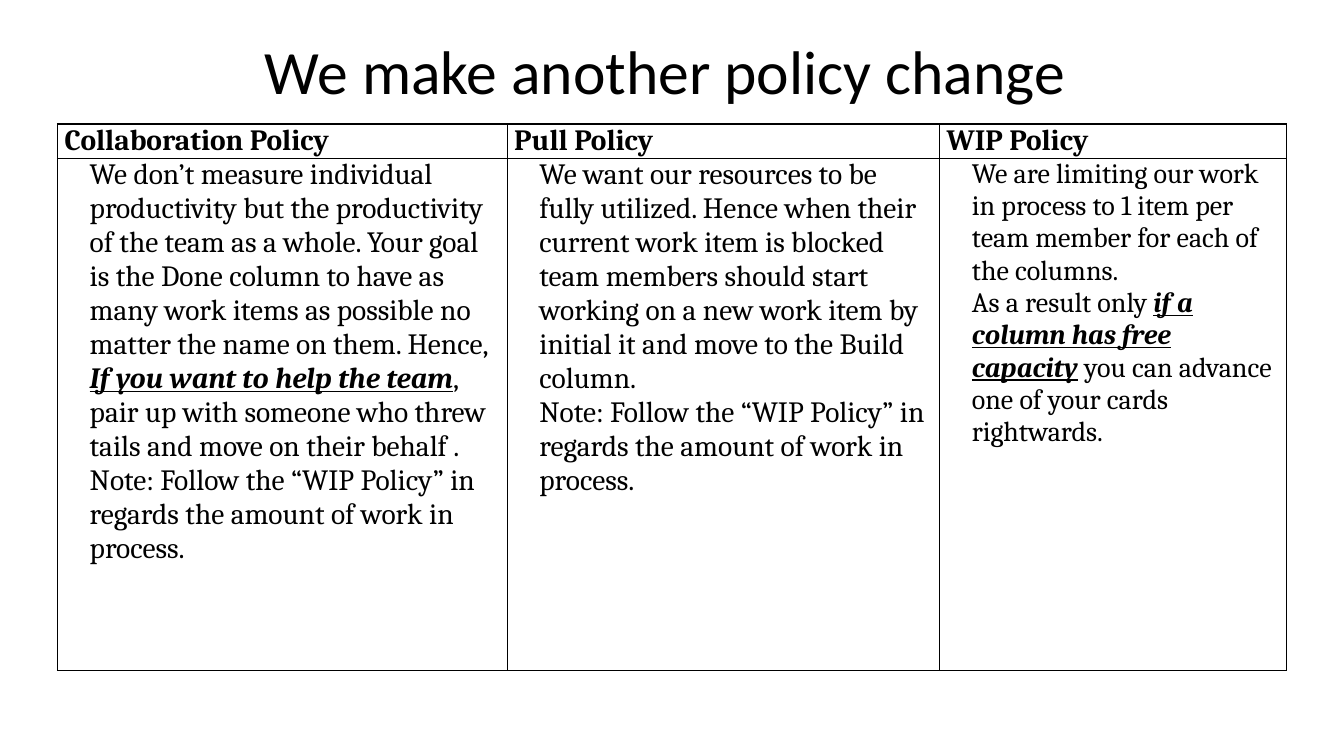
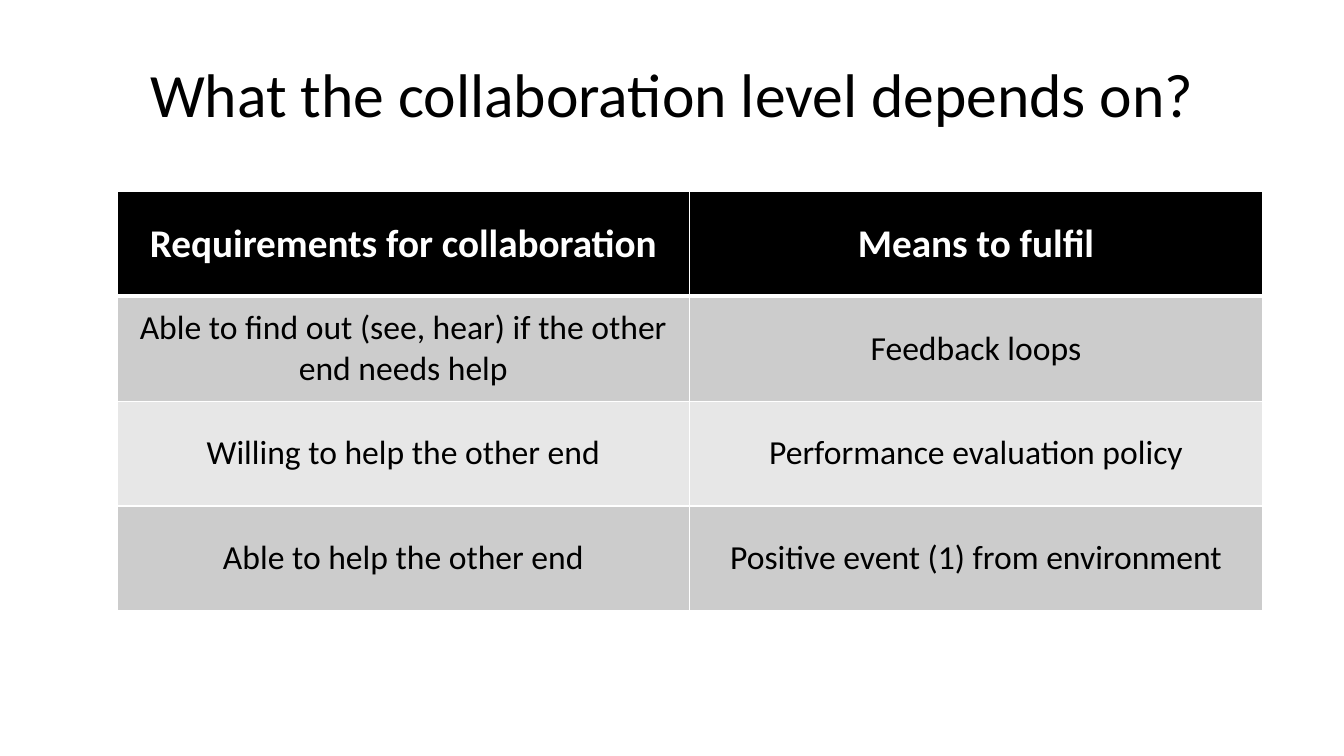
from dataclasses import dataclass

from lxml.etree import SubElement
from pptx import Presentation
from pptx.dml.color import RGBColor
from pptx.enum.text import MSO_ANCHOR as Anchor, PP_ALIGN as Align
from pptx.oxml.ns import qn
from pptx.util import Inches, Pt

COLORS = {
    "black": "000000",
    "white": "FFFFFF",
    "dark_band": "CCCCCC",
    "light_band": "E7E7E7",
}
TITLE_FONT = "Calibri"
TITLE_SIZE = 44


@dataclass(frozen=True)
class Span:
    text: str
    emphasis: bool = False


@dataclass(frozen=True)
class CellStyle:
    font: str
    size: float
    fill: str
    color: str = "black"
    bold: bool = False
    align: Align = Align.LEFT
    anchor: Anchor = Anchor.TOP
    margins: tuple[float, float] = (0.1, 0.05)
    indent: float = 0
    border: str = "black"
    top_width: float = 1
    bottom_width: float = 1


@dataclass(frozen=True)
class Cell:
    paragraphs: list[list[Span]]
    style: CellStyle


@dataclass(frozen=True)
class TablePage:
    title: str
    title_top: float
    left: float
    top: float
    widths: list[float]
    heights: list[float]
    rows: list[list[Cell]]


def rgb(name: str) -> RGBColor:
    return RGBColor.from_string(COLORS[name])


def plain(text: str, style: CellStyle) -> Cell:
    """Make a cell holding one unemphasised paragraph."""
    return Cell([[Span(text)]], style)


def add_title(page, text: str, top: float) -> None:
    title = page.shapes.title
    title.left, title.top = Inches(0.67), Inches(top)
    title.width, title.height = Inches(12), Inches(1.25)
    frame = title.text_frame
    frame.vertical_anchor = Anchor.MIDDLE
    para = frame.paragraphs[0]
    para.alignment = Align.CENTER
    run = para.add_run()
    run.text = text
    run.font.name, run.font.size = TITLE_FONT, Pt(TITLE_SIZE)
    run.font.color.rgb = rgb("black")


def add_borders(cell, style: CellStyle) -> None:
    properties = cell._tc.get_or_add_tcPr()
    widths = {"L": 1, "R": 1, "T": style.top_width, "B": style.bottom_width}
    for side, width in widths.items():
        line = SubElement(properties, qn(f"a:ln{side}"), w=str(Pt(width)))
        fill = SubElement(line, qn("a:solidFill"))
        SubElement(fill, qn("a:srgbClr"), val=COLORS[style.border])


def fill_cell(cell, content: Cell) -> None:
    style = content.style
    add_borders(cell, style)
    cell.fill.solid()
    cell.fill.fore_color.rgb = rgb(style.fill)
    side, edge = map(Inches, style.margins)
    cell.margin_left = cell.margin_right = side
    cell.margin_top = cell.margin_bottom = edge
    cell.vertical_anchor = style.anchor
    frame = cell.text_frame
    for index, spans in enumerate(content.paragraphs):
        para = frame.add_paragraph() if index else frame.paragraphs[0]
        para.alignment = style.align
        if style.indent:
            properties = para._p.get_or_add_pPr()
            properties.set("marL", str(Inches(style.indent)))
            properties.set("indent", "0")
        for span in spans:
            run = para.add_run()
            run.text = span.text
            font = run.font
            font.name, font.size = style.font, Pt(style.size)
            font.color.rgb = rgb(style.color)
            font.bold = style.bold or span.emphasis
            font.italic = font.underline = span.emphasis


def add_table_page(deck, content: TablePage) -> None:
    page = deck.slides.add_slide(deck.slide_layouts[5])
    add_title(page, content.title, content.title_top)
    table = page.shapes.add_table(
        len(content.heights), len(content.widths),
        Inches(content.left), Inches(content.top),
        Inches(sum(content.widths)), Inches(sum(content.heights)),
    ).table
    for column, width in zip(table.columns, content.widths):
        column.width = Inches(width)
    for row, height, cells in zip(table.rows, content.heights, content.rows):
        row.height = Inches(height)
        for cell, cell_content in zip(row.cells, cells):
            fill_cell(cell, cell_content)


POLICY_HEAD = CellStyle("Cambria", 21, "white", bold=True, margins=(0.07, 0))
POLICY_BODY = CellStyle("Cambria", 21, "white", margins=(0.07, 0), indent=0.25)
WIP_BODY = CellStyle("Cambria", 20, "white", margins=(0.07, 0), indent=0.25)
WIP_NOTE = [Span("Note: Follow the “WIP Policy” in regards the amount of work in process.")]

POLICY_PAGE = TablePage(
    title="We make another policy change ",
    title_top=0.07,
    left=0.57,
    top=1.23,
    widths=[4.46, 4.29, 3.44],
    heights=[0.34, 5.08],
    rows=[
        [plain(name, POLICY_HEAD)
         for name in ("Collaboration Policy", "Pull Policy", "WIP Policy")],
        [
            Cell([
                [Span("We don’t measure individual productivity but the productivity "
                      "of the team as a whole. Your goal is the Done column to have as "
                      "many work items as possible no matter the name on them. Hence,")],
                [Span("If you want to help the team", emphasis=True),
                 Span(", pair up with someone who threw tails and move on their behalf .")],
                WIP_NOTE,
            ], POLICY_BODY),
            Cell([
                [Span("We want our resources to be fully utilized. Hence when their "
                      "current work item is blocked team members should start working "
                      "on a new work item by initial it and move to the Build column.")],
                WIP_NOTE,
            ], POLICY_BODY),
            Cell([
                [Span("We are limiting our work in process to 1 item per team member "
                      "for each of the columns.")],
                [Span("As a result only "),
                 Span("if a column has free capacity", emphasis=True),
                 Span(" you can advance one of your cards rightwards.")],
            ], WIP_BODY),
        ],
    ],
)

REQUIREMENTS = [
    ("Requirements for collaboration", "Means to fulfil"),
    ("Able to find out (see, hear) if the other end needs help", "Feedback loops"),
    ("Willing to help the other end", "Performance evaluation policy"),
    ("Able to help the other end", "Positive event (1) from environment"),
]


def requirement_style(row: int) -> CellStyle:
    """Give the header row its style and alternate the bands below it."""
    is_head = row == 0
    return CellStyle(
        "Calibri",
        28 if is_head else 24,
        "black" if is_head else ("dark_band" if row % 2 else "light_band"),
        color="white" if is_head else "black",
        bold=is_head,
        align=Align.CENTER,
        anchor=Anchor.MIDDLE,
        border="white",
        top_width=3 if row == 1 else 1,
        bottom_width=3 if is_head else 1,
    )


REQUIREMENTS_PAGE = TablePage(
    title="What the collaboration level depends on?",
    title_top=0.3,
    left=1.16,
    top=1.9,
    widths=[5.68] * 2,
    heights=[1.04] * len(REQUIREMENTS),
    rows=[[plain(text, requirement_style(row)) for text in texts]
          for row, texts in enumerate(REQUIREMENTS)],
)


def main() -> None:
    deck = Presentation()
    deck.slide_width, deck.slide_height = Inches(13.33), Inches(7.5)
    for content in (POLICY_PAGE, REQUIREMENTS_PAGE):
        add_table_page(deck, content)
    deck.save("out.pptx")


if __name__ == "__main__":
    main()
